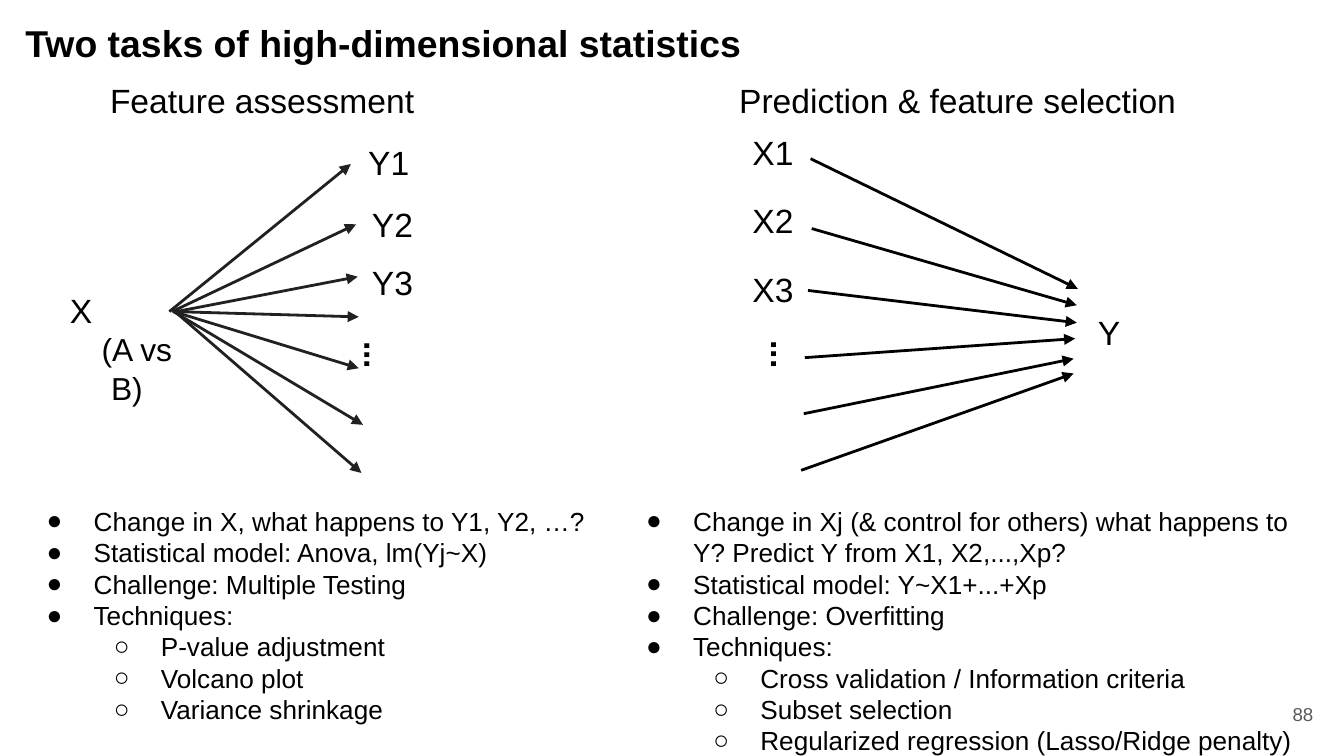
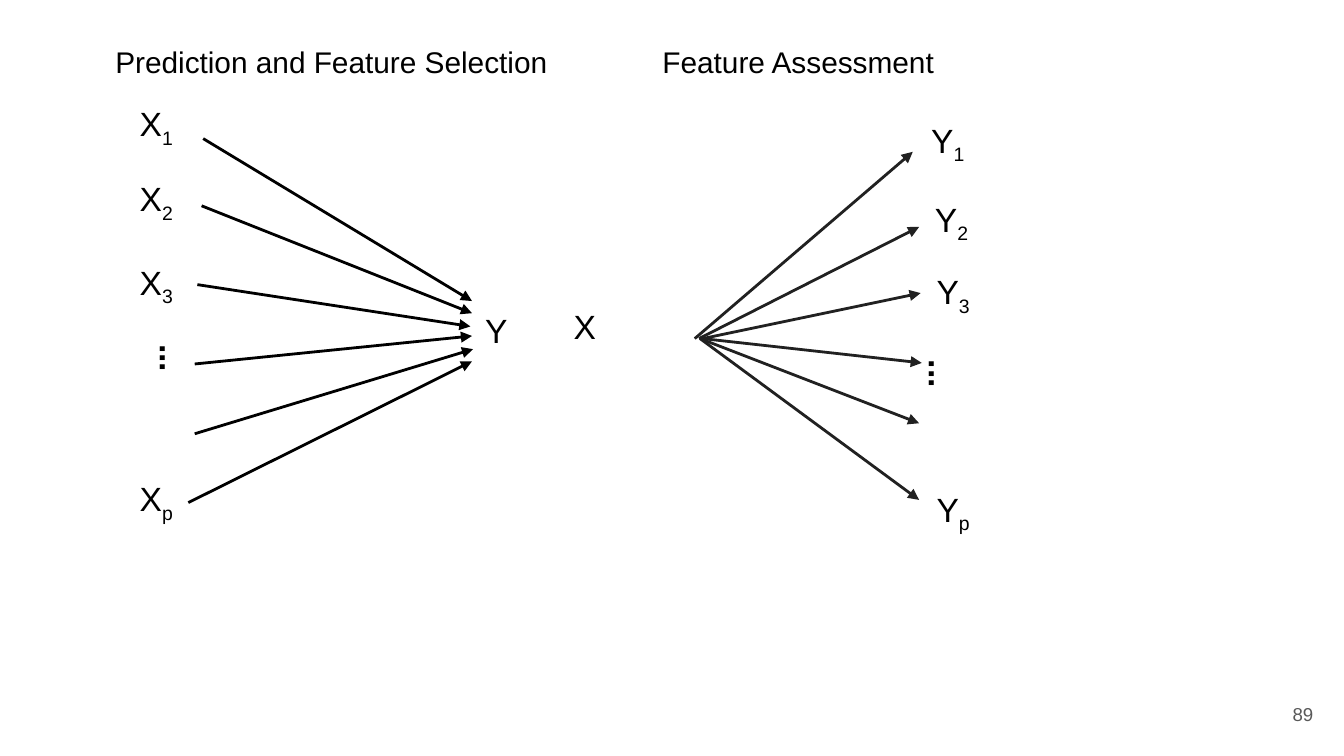
from lxml.etree import SubElement
from pptx import Presentation
from pptx.dml.color import RGBColor
from pptx.enum.shapes import MSO_CONNECTOR
from pptx.enum.text import MSO_ANCHOR, MSO_AUTO_SIZE, PP_ALIGN
from pptx.oxml.ns import qn
from pptx.util import Cm, Pt

COLORS = {"text": "000000", "charcoal": "212121", "number": "595959", "page": "FFFFFF"}
FONT = "Arial"
INSET = 0.25
LABEL_HEIGHT = 1.27
DOTS = "..."
FIRST_NUMBER = 88
BULLETS = {0: ("●", 1.27), 1: ("○", 2.54)}
BULLET_HANG = 0.89

TASKS_SLIDE = {
    "title": "Two tasks of high-dimensional statistics",
    "lists": [
        ((0.25, 9.3, 12.98, 4.7), [
            (0, "Change in X, what happens to Y1, Y2, …?"),
            (0, "Statistical model: Anova, lm(Yj~X)"),
            (0, "Challenge: Multiple Testing"),
            (0, "Techniques:"),
            (1, "P-value adjustment"),
            (1, "Volcano plot"),
            (1, "Variance shrinkage"),
        ]),
        ((11.58, 9.3, 13.18, 5.31), [
            (0, "Change in Xj (& control for others) what happens to Y? "
                "Predict Y from X1, X2,...,Xp?"),
            (0, "Statistical model: Y~X1+...+Xp"),
            (0, "Challenge: Overfitting"),
            (0, "Techniques:"),
            (1, "Cross validation / Information criteria"),
            (1, "Subset selection"),
            (1, "Regularized regression (Lasso/Ridge penalty)"),
        ]),
    ],
    "heading_size": 18,
    "headings": [
        ("Feature assessment", 1.83, 1.27, 7.21),
        ("Prediction & feature selection", 13.72, 1.27, 10.11),
    ],
    "fans": [
        {
            "color": "charcoal",
            "dots_spacing": 1.5,
            "arrows": [
                (3.2, 5.89, 6.63, 3.1),
                (3.25, 5.89, 6.73, 4.24),
                (3.33, 5.89, 6.76, 5.23),
                (3.3, 5.89, 6.78, 5.99),
                (3.28, 5.89, 6.78, 6.96),
                (3.28, 5.89, 6.86, 8.03),
                (3.25, 5.84, 6.83, 8.94),
            ],
            "labels": [
                ("X", 1.07, 5.23, 2.67),
                ("Y1", 6.71, 2.44, 2.26),
                ("Y2", 6.78, 3.61, 2.26),
                ("Y3", 6.78, 4.7, 2.26),
                (DOTS, 6.45, 6.63, 2.13),
            ],
            "groups_compared": "(A vs B)",
        },
        {
            "color": "text",
            "dots_spacing": 1.0,
            "arrows": [
                (15.32, 3, 20.37, 5.46),
                (15.34, 4.32, 20.35, 5.77),
                (15.27, 5.49, 20.35, 6.1),
                (15.21, 6.76, 20.32, 6.4),
                (15.19, 7.82, 20.29, 6.78),
                (15.14, 8.89, 20.29, 7.06),
            ],
            "labels": [
                ("X1", 13.97, 2.24, 2.26),
                ("X2", 13.97, 3.53, 2.26),
                ("X3", 13.97, 4.83, 2.26),
                (DOTS, 13.69, 6.68, 2.26),
                ("Y", 20.5, 5.64, 2.16),
            ],
        },
    ],
}

SCHEMES_SLIDE = {
    "heading_size": 16,
    "headings": [
        ("Prediction and Feature Selection", 1.93, 0.58, 9.22),
        ("Feature Assessment", 12.27, 0.58, 10.11),
    ],
    "fans": [
        {
            "color": "charcoal",
            "dots_spacing": 1.5,
            "arrows": [
                (13.13, 6.4, 17.25, 2.87),
                (13.21, 6.4, 17.37, 4.29),
                (13.28, 6.4, 17.4, 5.54),
                (13.28, 6.4, 17.42, 6.86),
                (13.23, 6.4, 17.37, 8),
                (13.23, 6.4, 17.37, 9.45),
            ],
            "labels": [
                ("X", 10.59, 5.54, 3.2),
                ("Y_1", 17.35, 2.01, 2.72),
                ("Y_2", 17.42, 3.51, 2.72),
                ("Y_3", 17.45, 4.88, 2.72),
                (DOTS, 16.84, 7.26, 2.69),
                ("Y_p", 17.45, 8.99, 2.72),
            ],
        },
        {
            "color": "text",
            "dots_spacing": 1.0,
            "arrows": [
                (3.84, 2.62, 8.92, 5.69),
                (3.81, 3.89, 8.92, 5.92),
                (3.73, 5.38, 8.89, 6.17),
                (3.68, 6.88, 8.92, 6.35),
                (3.68, 8.2, 8.94, 6.6),
                (3.56, 9.5, 8.92, 6.83),
            ],
            "labels": [
                ("X_1", 2.39, 1.7, 2.34),
                ("X_2", 2.39, 3.12, 2.34),
                ("X_3", 2.39, 4.7, 2.34),
                (DOTS, 1.85, 7.04, 2.84),
                ("X_p", 2.39, 8.79, 2.34),
                ("Y", 8.92, 5.61, 2.24),
            ],
        },
    ],
}


def rgb(color):
    return RGBColor.from_string(COLORS[color])


def set_font(paragraph, size, color="text", bold=False):
    font = paragraph.font
    font.name, font.size, font.bold = FONT, Pt(size), bold
    font.color.rgb = rgb(color)


def set_frame(frame, inset=INSET, anchor=MSO_ANCHOR.TOP):
    frame.word_wrap = True
    frame.auto_size = MSO_AUTO_SIZE.NONE
    frame.vertical_anchor = anchor
    frame.margin_left = frame.margin_right = Cm(inset)
    frame.margin_top = frame.margin_bottom = Cm(inset)


def place(placeholder, left, top, width, height):
    placeholder.left, placeholder.top = Cm(left), Cm(top)
    placeholder.width, placeholder.height = Cm(width), Cm(height)


def set_indent(paragraph, margin, first_line):
    properties = paragraph._p.get_or_add_pPr()
    properties.set("marL", str(Cm(margin)))
    properties.set("indent", str(Cm(first_line)))
    return properties


def add_text(shapes, text, left, top, width, size,
             height=LABEL_HEIGHT, color="text", bold=False, anchor=MSO_ANCHOR.TOP):
    box = shapes.add_textbox(Cm(left), Cm(top), Cm(width), Cm(height))
    set_frame(box.text_frame, anchor=anchor)
    paragraph = box.text_frame.paragraphs[0]
    base, _, subscript = text.partition("_")
    paragraph.add_run().text = base
    if subscript:
        run = paragraph.add_run()
        run.text = subscript
        run._r.get_or_add_rPr().set("baseline", "-25000")
    set_font(paragraph, size, color, bold)
    return box


def add_arrow(shapes, left, top, right, bottom, color):
    arrow = shapes.add_connector(
        MSO_CONNECTOR.STRAIGHT, Cm(left), Cm(top), Cm(right), Cm(bottom))
    arrow.line.color.rgb = rgb(color)
    arrow.line.width = Pt(1.5)
    SubElement(arrow.line._get_or_add_ln(), qn("a:tailEnd"), type="triangle")
    SubElement(arrow._element.spPr, qn("a:effectLst"))


def add_fan(slide, fan):
    shapes = slide.shapes.add_group_shape().shapes
    for ends in fan["arrows"]:
        add_arrow(shapes, *ends, fan["color"])
    for text, left, top, width in fan["labels"]:
        label = add_text(shapes, text, left, top, width, 18, bold=text == DOTS)
        if text == DOTS:
            label.rotation = 90
            label.text_frame.paragraphs[0].line_spacing = fan["dots_spacing"]
        elif text == "X" and "groups_compared" in fan:
            label.height = Cm(2.01)
            compared = label.text_frame.add_paragraph()
            compared.text = fan["groups_compared"]
            set_indent(compared, 0.78, -0.18)
            set_font(compared, 17)


def fill_title(title, text):
    place(title, 0.48, 0.38, 20.52, 2.59)
    set_frame(title.text_frame, inset=0)
    title.text_frame.text = text
    paragraph = title.text_frame.paragraphs[0]
    paragraph.alignment = PP_ALIGN.LEFT
    set_font(paragraph, 20, bold=True)


def fill_list(body, position, items):
    place(body, *position)
    frame = body.text_frame
    set_frame(frame)
    for index, (level, text) in enumerate(items):
        paragraph = frame.add_paragraph() if index else frame.paragraphs[0]
        paragraph.text = text
        paragraph.level = level
        paragraph.space_before = Pt(0)
        symbol, margin = BULLETS[level]
        properties = set_indent(paragraph, margin, -BULLET_HANG)
        bullet_color = SubElement(properties, qn("a:buClr"))
        SubElement(bullet_color, qn("a:srgbClr"), val=COLORS["text"])
        SubElement(properties, qn("a:buFont"), typeface=FONT)
        SubElement(properties, qn("a:buChar"), char=symbol)
        set_font(paragraph, 14)


def add_slide(deck, content, number):
    layout = "Two Content" if "title" in content else "Blank"
    slide = deck.slides.add_slide(deck.slide_layouts.get_by_name(layout))
    slide.background.fill.solid()
    slide.background.fill.fore_color.rgb = rgb("page")
    if "title" in content:
        title, *bodies = slide.placeholders
        fill_title(title, content["title"])
        for body, (position, items) in zip(bodies, content["lists"]):
            fill_list(body, position, items)
    for fan in content["fans"]:
        add_fan(slide, fan)
    for heading in content["headings"]:
        add_text(slide.shapes, *heading, content["heading_size"])
    page = add_text(slide.shapes, str(number), 23.55, 12.95, 1.52, 10,
                    height=1.09, color="number", anchor=MSO_ANCHOR.MIDDLE)
    page.text_frame.paragraphs[0].alignment = PP_ALIGN.RIGHT


def main():
    deck = Presentation()
    deck.slide_width, deck.slide_height = Cm(25.4), Cm(14.29)
    for number, content in enumerate([TASKS_SLIDE, SCHEMES_SLIDE], FIRST_NUMBER):
        add_slide(deck, content, number)
    deck.save("out.pptx")


if __name__ == "__main__":
    main()
